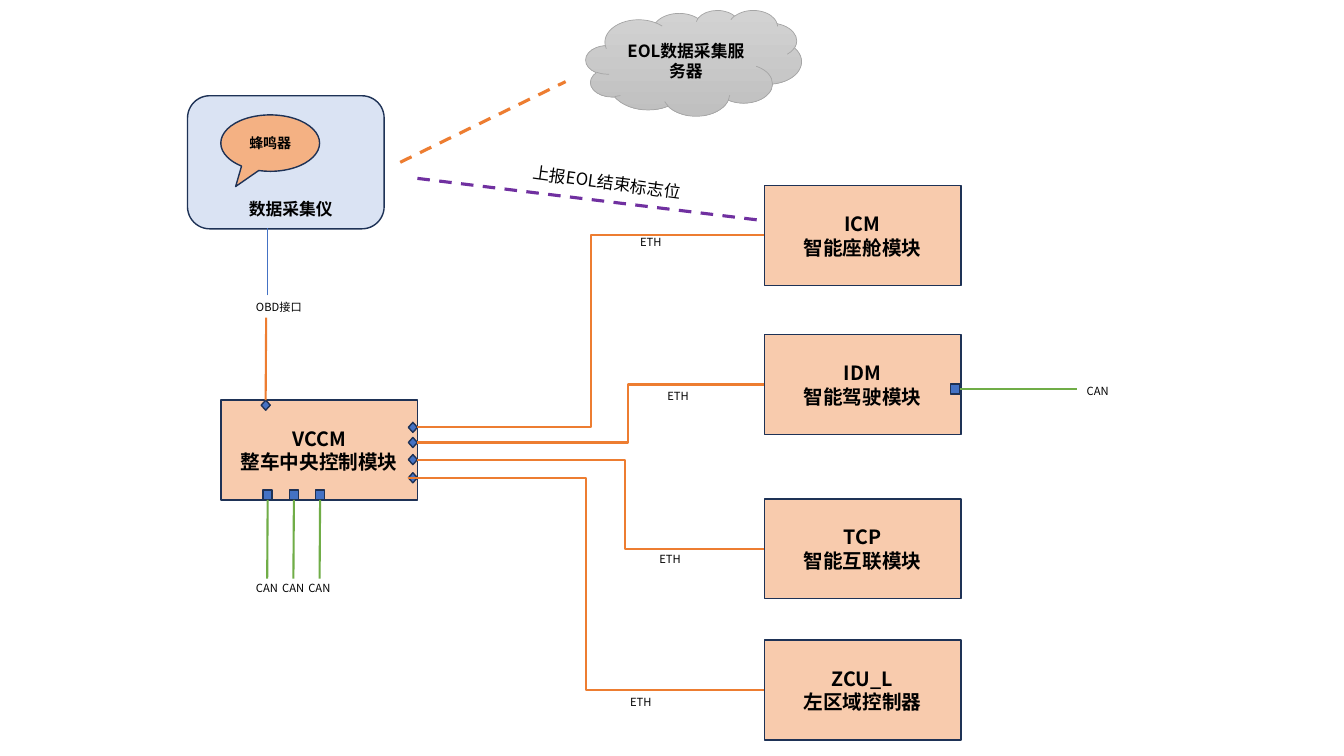
from lxml.etree import SubElement
from pptx import Presentation
from pptx.dml.color import RGBColor
from pptx.enum.dml import MSO_LINE
from pptx.enum.shapes import MSO_CONNECTOR, MSO_SHAPE
from pptx.enum.text import MSO_ANCHOR, PP_ALIGN
from pptx.oxml.ns import qn
from pptx.util import Pt

PX = 9144
FONT = "Noto Sans CJK SC"
BLACK = RGBColor(0x00, 0x00, 0x00)
NAVY = RGBColor(0x1E, 0x32, 0x56)
BLUE = RGBColor(0x44, 0x72, 0xC4)
PALE_BLUE = RGBColor(0xDA, 0xE3, 0xF3)
PEACH = RGBColor(0xF8, 0xCB, 0xAD)
APRICOT = RGBColor(0xF4, 0xB1, 0x83)
ORANGE = RGBColor(0xED, 0x7D, 0x31)
GREEN = RGBColor(0x70, 0xAD, 0x47)
PURPLE = RGBColor(0x70, 0x30, 0xA0)
GRAY = RGBColor(0xA5, 0xA5, 0xA5)
GRAY_TOP = RGBColor(0xD2, 0xD2, 0xD2)
GRAY_BOTTOM = RGBColor(0xC0, 0xC0, 0xC0)

MODULE_WIDTH, MODULE_HEIGHT = 195, 99
PORT_WIDTH, PORT_HEIGHT = 9, 10
MODULE_LEFT = 758
VCCM_LEFT, VCCM_TOP = 219, 397
VCCM_TEXT = "VCCM\n整车中央控制模块"
ETH_PORT_LEFT = VCCM_LEFT + MODULE_WIDTH - PORT_WIDTH
LEFT_SIDE, RIGHT_SIDE = 1, 3

# name, module top, port top, port side, bend x, label left, label top
MODULES = [
    ("ICM\n智能座舱模块", 184, 419, RIGHT_SIDE, 586, 625, 229),
    ("IDM\n智能驾驶模块", 332, 434, RIGHT_SIDE, 623, 652, 381),
    ("TCP\n智能互联模块", 495, 451, RIGHT_SIDE, 620, 644, 543),
    ("ZCU_L\n左区域控制器", 635, 469, LEFT_SIDE, 581, 615, 685),
]
CAN_FIRST_LEFT, CAN_STEP, CAN_COUNT = 261, 26, 3


def write(shape, text, size, bold=False, align=PP_ALIGN.LEFT):
    frame = shape.text_frame
    frame.word_wrap = True
    frame.text = text
    for para in frame.paragraphs:
        para.alignment = align
        for span in para.runs:
            span.font.name = FONT
            span.font.size = Pt(size)
            span.font.bold = bold
            span.font.color.rgb = BLACK
            east_asian = SubElement(span.font._element, qn("a:ea"))
            east_asian.set("typeface", FONT)


def add_box(parent, kind, left, top, width, height, fill, text="", size=14):
    box = parent.shapes.add_shape(kind, left * PX, top * PX, width * PX, height * PX)
    box.shadow.inherit = False
    box.fill.solid()
    box.fill.fore_color.rgb = fill
    box.line.color.rgb = NAVY
    box.line.width = Pt(1)
    if text:
        box.text_frame.vertical_anchor = MSO_ANCHOR.MIDDLE
        write(box, text, size, True, PP_ALIGN.CENTER)
    return box


def add_module(parent, left, top, text):
    return add_box(parent, MSO_SHAPE.RECTANGLE, left, top, MODULE_WIDTH, MODULE_HEIGHT, PEACH, text)


def add_port(parent, kind, left, top):
    return add_box(parent, kind, left, top, PORT_WIDTH, PORT_HEIGHT, BLUE)


def add_label(parent, left, top, width, height, text, size=8, bold=False):
    label = parent.shapes.add_textbox(left * PX, top * PX, width * PX, height * PX)
    write(label, text, size, bold)
    return label


def add_line(parent, start, end, color, width=1.5, kind=MSO_CONNECTOR.STRAIGHT, dash=None):
    line = parent.shapes.add_connector(kind, *(value * PX for value in start + end))
    line.line.color.rgb = color
    line.line.width = Pt(width)
    if dash:
        line.line.dash_style = dash
    SubElement(line._element.spPr, qn("a:effectLst"))
    return line


def set_bend(line, ratio):
    values = line._element.spPr.find(qn("a:prstGeom")).get_or_add_avLst()
    guide = SubElement(values, qn("a:gd"))
    guide.set("name", "adj1")
    guide.set("fmla", f"val {round(ratio * 100000)}")


def add_cloud(page):
    cloud = add_box(page, MSO_SHAPE.CLOUD, 581, 10, 214, 105, GRAY_TOP, "EOL数据采集服务器", 12)
    cloud.fill.gradient()
    cloud.fill.gradient_angle = 270
    for stop, color in zip(cloud.fill.gradient_stops, (GRAY_TOP, GRAY_BOTTOM)):
        stop.color.rgb = color
    cloud.line.color.rgb = GRAY
    cloud.line.width = Pt(0.5)


def add_network(page):
    modules = [add_module(page, MODULE_LEFT, top, name) for name, top, *_ in MODULES]
    add_module(page, VCCM_LEFT, VCCM_TOP, VCCM_TEXT)
    for module, (_, top, port_top, side, bend, label_left, label_top) in zip(modules, MODULES):
        port = add_port(page, MSO_SHAPE.DIAMOND, ETH_PORT_LEFT, port_top)
        start_x = ETH_PORT_LEFT + (PORT_WIDTH if side == RIGHT_SIDE else 0)
        start = (start_x, port_top + PORT_HEIGHT // 2)
        end = (MODULE_LEFT, top + MODULE_HEIGHT // 2)
        line = add_line(page, start, end, ORANGE, kind=MSO_CONNECTOR.ELBOW)
        line.begin_connect(port, side)
        line.end_connect(module, LEFT_SIDE)
        set_bend(line, (bend - start_x) / (MODULE_LEFT - start_x))
        add_label(page, label_left, label_top, 52, 24, "ETH")


def add_can_ports(page):
    for index in range(CAN_COUNT):
        left = CAN_FIRST_LEFT + index * CAN_STEP
        group = page.shapes.add_group_shape()
        port = add_port(group, MSO_SHAPE.RECTANGLE, left, 486)
        line = add_line(group, (left + 4, 574), (left + 5, 496), GREEN)
        line.end_connect(port, 2)
        add_label(group, left - 17, 572, 52, 24, "CAN")
    port = add_port(page, MSO_SHAPE.RECTANGLE, 943, 381)
    line = add_line(page, (952, 386), (1068, 386), GREEN)
    line.begin_connect(port, RIGHT_SIDE)
    add_label(page, 1068, 376, 52, 24, "CAN")


def add_collector(page):
    group = page.shapes.add_group_shape()
    add_box(group, MSO_SHAPE.ROUNDED_RECTANGLE, 186, 95, 195, 132, PALE_BLUE)
    buzzer = add_box(group, MSO_SHAPE.OVAL_CALLOUT, 219, 114, 98, 56, APRICOT, "蜂鸣器", 10)
    buzzer.adjustments[0] = -0.35
    buzzer.adjustments[1] = 0.77
    add_label(group, 237, 192, 160, 30, "数据采集仪", 12, True)


def add_collector_links(page):
    port = add_port(page, MSO_SHAPE.DIAMOND, 259, VCCM_TOP)
    line = add_line(page, (263, VCCM_TOP), (264, 315), ORANGE)
    line.begin_connect(port, 0)
    add_line(page, (265, 293), (265, 226), BLUE, 0.5)
    add_label(page, 244, 293, 78, 24, "OBD接口")
    add_line(page, (397, 161), (561, 81), ORANGE, 2.25, dash=MSO_LINE.DASH)
    add_line(page, (414, 177), (758, 219), PURPLE, 2.25, dash=MSO_LINE.DASH)
    add_label(page, 518, 169, 214, 30, "上报EOL结束标志位", 12).rotation = 7.8


def main():
    deck = Presentation()
    deck.slide_width = 1333 * PX
    deck.slide_height = 750 * PX
    page = deck.slides.add_slide(deck.slide_layouts[6])
    add_cloud(page)
    add_network(page)
    add_can_ports(page)
    add_collector(page)
    add_collector_links(page)
    deck.save("out.pptx")


if __name__ == "__main__":
    main()
